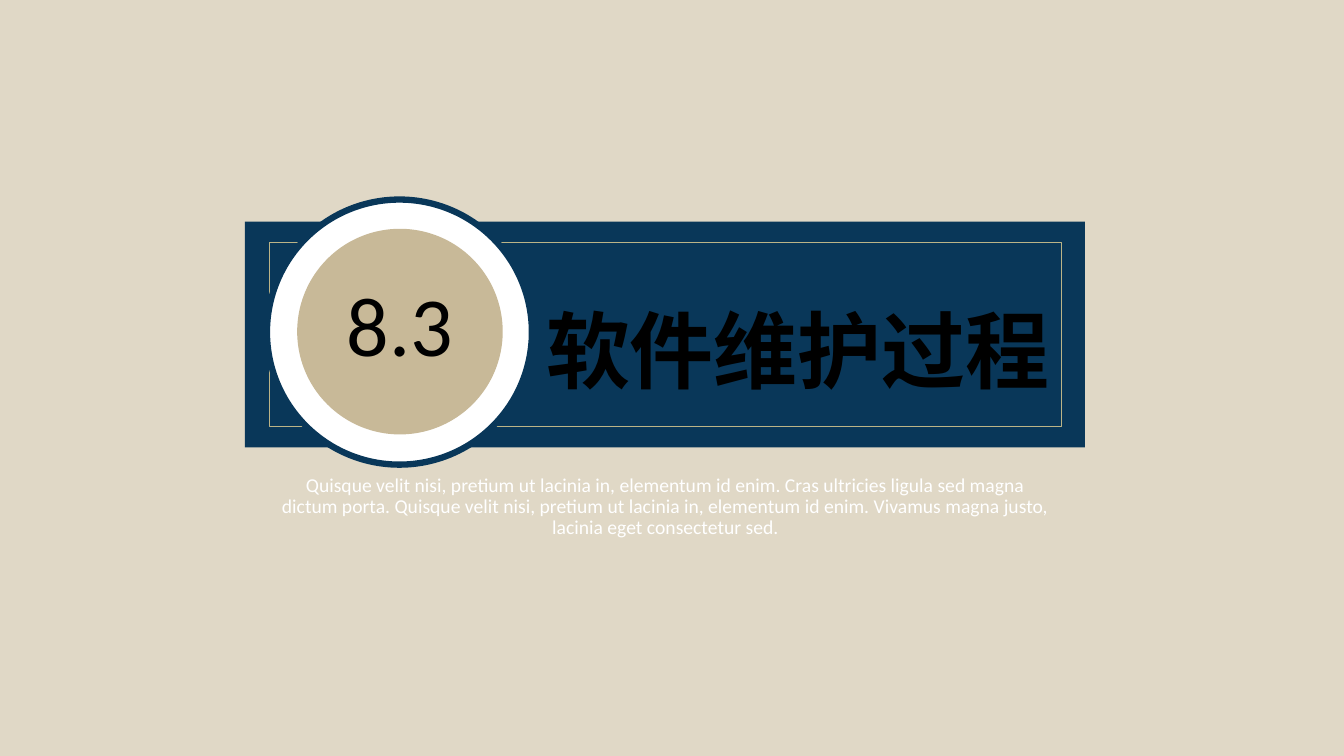
"""Build the section slide for 8.3, software maintenance process."""
import pptx
import pptx.dml.color
import pptx.enum.shapes
import pptx.enum.text
import pptx.util

Inches, Pt = pptx.util.Inches, pptx.util.Pt
SHAPE = pptx.enum.shapes.MSO_SHAPE
ANCHOR = pptx.enum.text.MSO_ANCHOR

BACKGROUND, NAVY, GOLD, SAND, WHITE, BLACK = (
    "E0D8C6", "093759", "BBB487", "C8B998", "FFFFFF", "000000")

BANNER_AND_BADGE = [
    (SHAPE.RECTANGLE, (2.43, 2.2, 8.34, 2.24), NAVY, None, 0),
    (SHAPE.RECTANGLE, (2.67, 2.4, 7.87, 1.83), None, GOLD, 0.5),
    (SHAPE.OVAL, (2.65, 1.98, 2.63, 2.63), WHITE, NAVY, 4.5),
    (SHAPE.OVAL, (2.95, 2.27, 2.04, 2.04), SAND, None, 0),
]

WORDING = [
    ("Quisque velit nisi, pretium ut lacinia in, elementum id enim. "
     "Cras ultricies ligula sed magna dictum porta. "
     "Quisque velit nisi, pretium ut lacinia in, elementum id enim. "
     "Vivamus magna justo, lacinia eget consectetur sed.",
     (2.67, 4.67, 7.87, 1.64), ANCHOR.TOP, 14, WHITE, False),
    ("软件维护过程", (5.3, 2.83, 5.24, 1.39), ANCHOR.MIDDLE, 60, BLACK, True),
    ("8.3", (2.95, 2.22, 2.04, 2.09), ANCHOR.MIDDLE, 60, BLACK, False),
]


def paint(color_owner, color):
    if hasattr(color_owner, "solid"):
        color_owner.solid()
        color_owner = color_owner.fore_color
    color_owner.rgb = pptx.dml.color.RGBColor.from_string(color)


def add_figure(slide, kind, place, fill, line, width):
    figure = slide.shapes.add_shape(kind, *map(Inches, place))
    figure.shadow.inherit = False
    if fill:
        paint(figure.fill, fill)
    else:
        figure.fill.background()
    if line:
        paint(figure.line.color, line)
        figure.line.width = Pt(width)
    else:
        figure.line.fill.background()


def add_wording(slide, text, place, anchor, size, color, bold):
    frame = slide.shapes.add_textbox(*map(Inches, place)).text_frame
    frame.word_wrap = True
    frame.vertical_anchor = anchor
    frame.text = text
    paragraph = frame.paragraphs[0]
    paragraph.alignment = pptx.enum.text.PP_ALIGN.CENTER
    paragraph.line_spacing = 0.9
    font = paragraph.runs[0].font
    font.name, font.size, font.bold = "Calibri", Pt(size), bold
    paint(font.color, color)


def main():
    deck = pptx.Presentation()
    deck.slide_width, deck.slide_height = Inches(13.34), Inches(7.5)
    slide = deck.slides.add_slide(deck.slide_layouts[6])
    paint(slide.background.fill, BACKGROUND)
    for figure in BANNER_AND_BADGE:
        add_figure(slide, *figure)
    for wording in WORDING:
        add_wording(slide, *wording)
    deck.save("out.pptx")


if __name__ == "__main__":
    main()
